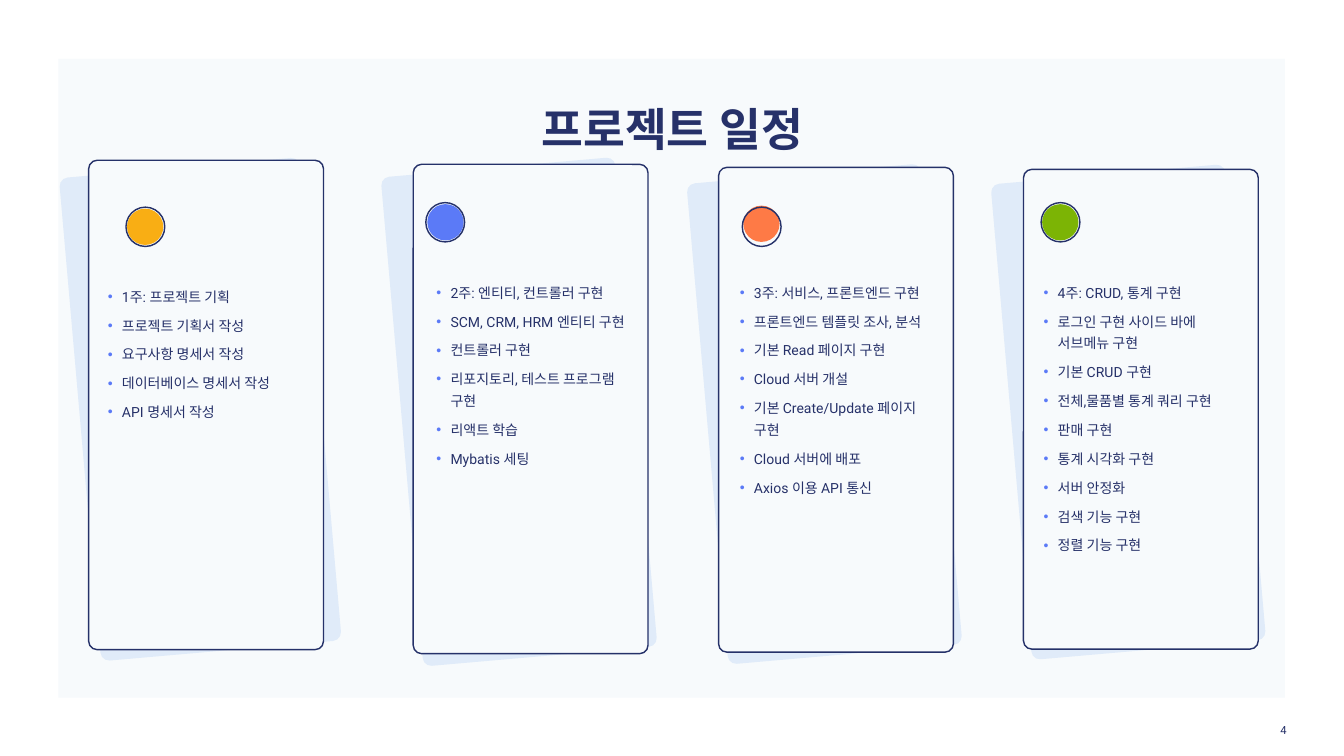
"""Build the four-week project schedule slide."""
from typing import NamedTuple, Optional

import lxml.etree
import pptx
import pptx.dml.color
import pptx.enum.shapes
import pptx.enum.text
import pptx.oxml
import pptx.oxml.ns
import pptx.util

RGBColor = pptx.dml.color.RGBColor
Shape = pptx.enum.shapes.MSO_SHAPE
Align = pptx.enum.text.PP_ALIGN

EMU_PER_PX = 9144
FONT = "Roboto"
PANEL = RGBColor(0xF7, 0xFA, 0xFC)
NAVY = RGBColor(0x25, 0x31, 0x69)
INK = RGBColor(0x26, 0x31, 0x69)
SHADE = RGBColor(0x3A, 0x81, 0xE5)
BLUE = RGBColor(0x5B, 0x7A, 0xF7)
AMBER = RGBColor(0xF9, 0xAE, 0x14)
ORANGE = RGBColor(0xFE, 0x7A, 0x46)
GREEN = RGBColor(0x7C, 0xB4, 0x05)
SHADE_ALPHA = 12
CORNER = 0.036
INDENT = 28
DOT = 72


class Box(NamedTuple):
    left: int
    top: int
    width: int
    height: int


class Week(NamedTuple):
    backing: Box
    card: Box
    dot: tuple[int, int]
    ring: tuple[int, int]
    color: RGBColor
    notes: Box
    tasks: list[str]


WEEKS = [
    Week(Box(158, 331, 479, 962), Box(176, 318, 466, 971), (252, 414), (250, 411), AMBER,
         Box(209, 557, 401, 280),
         ["1주: 프로젝트 기획", "프로젝트 기획서 작성", "요구사항 명세서 작성",
          "데이터베이스 명세서 작성", "API 명세서 작성"]),
    Week(Box(797, 330, 466, 974), Box(820, 326, 466, 971), (848, 405), (845, 402), BLUE,
         Box(861, 549, 401, 484),
         ["2주: 엔티티, 컨트롤러 구현", "SCM, CRM, HRM 엔티티 구현", "컨트롤러 구현",
          "리포지토리, 테스트 프로그램 구현", "리액트 학습", "Mybatis 세팅"]),
    Week(Box(1403, 343, 466, 957), Box(1426, 332, 466, 962), (1475, 408), (1473, 411), ORANGE,
         Box(1463, 549, 401, 657),
         ["3주: 서비스, 프론트엔드 구현", "프론트엔드 템플릿 조사, 분석", "기본 Read 페이지 구현",
          "Cloud 서버 개설", "기본 Create/Update 페이지 구현", "Cloud 서버에 배포",
          "Axios 이용 API 통신"]),
    Week(Box(2006, 344, 466, 947), Box(2031, 336, 466, 952), (2068, 405), (2066, 402), GREEN,
         Box(2066, 549, 401, 555),
         ["4주: CRUD, 통계 구현", "로그인 구현 사이드 바에 서브메뉴 구현", "기본 CRUD 구현",
          "전체,물품별 통계 쿼리 구현", "판매 구현", "통계 시각화 구현", "서버 안정화",
          "검색 기능 구현", "정렬 기능 구현"]),
]


def px(length: int) -> pptx.util.Emu:
    """Turn px into EMU."""
    return pptx.util.Emu(length * EMU_PER_PX)


def add_figure(slide, kind: Shape, box: Box, fill: Optional[RGBColor] = None,
               line: Optional[RGBColor] = None):
    """Draw a preset shape with an optional fill and outline."""
    figure = slide.shapes.add_shape(kind, *map(px, box))
    figure.shadow.inherit = False
    if fill is None:
        figure.fill.background()
    else:
        figure.fill.solid()
        figure.fill.fore_color.rgb = fill
    if line is None:
        figure.line.fill.background()
    else:
        figure.line.color.rgb = line
        figure.line.width = pptx.util.Pt(2)
    if kind == Shape.ROUNDED_RECTANGLE:
        figure.adjustments[0] = CORNER
    return figure


def add_bullet(paragraph) -> None:
    """Give a paragraph a hanging blue bullet."""
    properties = paragraph._p.get_or_add_pPr()
    properties.set("marL", str(px(INDENT)))
    properties.set("indent", str(-px(INDENT)))
    qn = pptx.oxml.ns.qn
    bullet_color = lxml.etree.SubElement(properties, qn("a:buClr"))
    lxml.etree.SubElement(bullet_color, qn("a:srgbClr")).set("val", str(BLUE))
    lxml.etree.SubElement(properties, qn("a:buFont")).set("typeface", "Arial")
    lxml.etree.SubElement(properties, qn("a:buChar")).set("char", "•")


def add_text(slide, box: Box, lines: list[str], size: int, spacing: float,
             align: Align = Align.LEFT, bold: bool = False, bullets: bool = False,
             wrap: bool = True) -> None:
    """Write lines of text in a box."""
    frame = slide.shapes.add_textbox(*map(px, box)).text_frame
    frame.word_wrap = wrap
    frame.auto_size = pptx.enum.text.MSO_AUTO_SIZE.SHAPE_TO_FIT_TEXT
    frame.margin_left = frame.margin_right = frame.margin_top = frame.margin_bottom = px(5)
    frame.text = "\n".join(lines)
    for index, paragraph in enumerate(frame.paragraphs):
        if bullets:
            add_bullet(paragraph)
        paragraph.alignment = align
        paragraph.line_spacing = spacing
        paragraph.space_before = pptx.util.Pt(10 if index else 0)
        for run in paragraph.runs:
            run.font.name = FONT
            run.font.size = pptx.util.Pt(size)
            run.font.bold = bold
            run.font.color.rgb = INK


def add_week(slide, week: Week) -> None:
    """Draw one week's card with its tilted backing, dot and tasks."""
    backing = add_figure(slide, Shape.ROUNDED_RECTANGLE, week.backing, SHADE)
    backing.rotation = 355
    shade = backing.fill._xPr.find(".//" + pptx.oxml.ns.qn("a:srgbClr"))
    alpha = lxml.etree.SubElement(shade, pptx.oxml.ns.qn("a:alpha"))
    alpha.set("val", str(SHADE_ALPHA * 1000))
    add_figure(slide, Shape.ROUNDED_RECTANGLE, week.card, PANEL, NAVY)
    add_figure(slide, Shape.OVAL, Box(*week.dot, DOT, DOT), week.color)
    add_figure(slide, Shape.OVAL, Box(*week.ring, 77, 78), line=NAVY)
    add_text(slide, week.notes, week.tasks, 20, 1.3, bullets=True)


def main() -> None:
    """Build and save the slide."""
    deck = pptx.Presentation()
    deck.slide_width, deck.slide_height = px(2667), px(1500)
    slide = deck.slides.add_slide(deck.slide_layouts[6])
    add_figure(slide, Shape.RECTANGLE, Box(116, 117, 2434, 1267), PANEL)
    for week in WEEKS:
        add_week(slide, week)
    add_text(slide, Box(542, 207, 1584, 125), ["프로젝트 일정"], 65, 0.9, Align.CENTER, bold=True)
    add_text(slide, Box(2534, 1425, 24, 36), ["4"], 16, 1.2, Align.RIGHT, wrap=False)
    deck.save("out.pptx")


if __name__ == "__main__":
    main()
